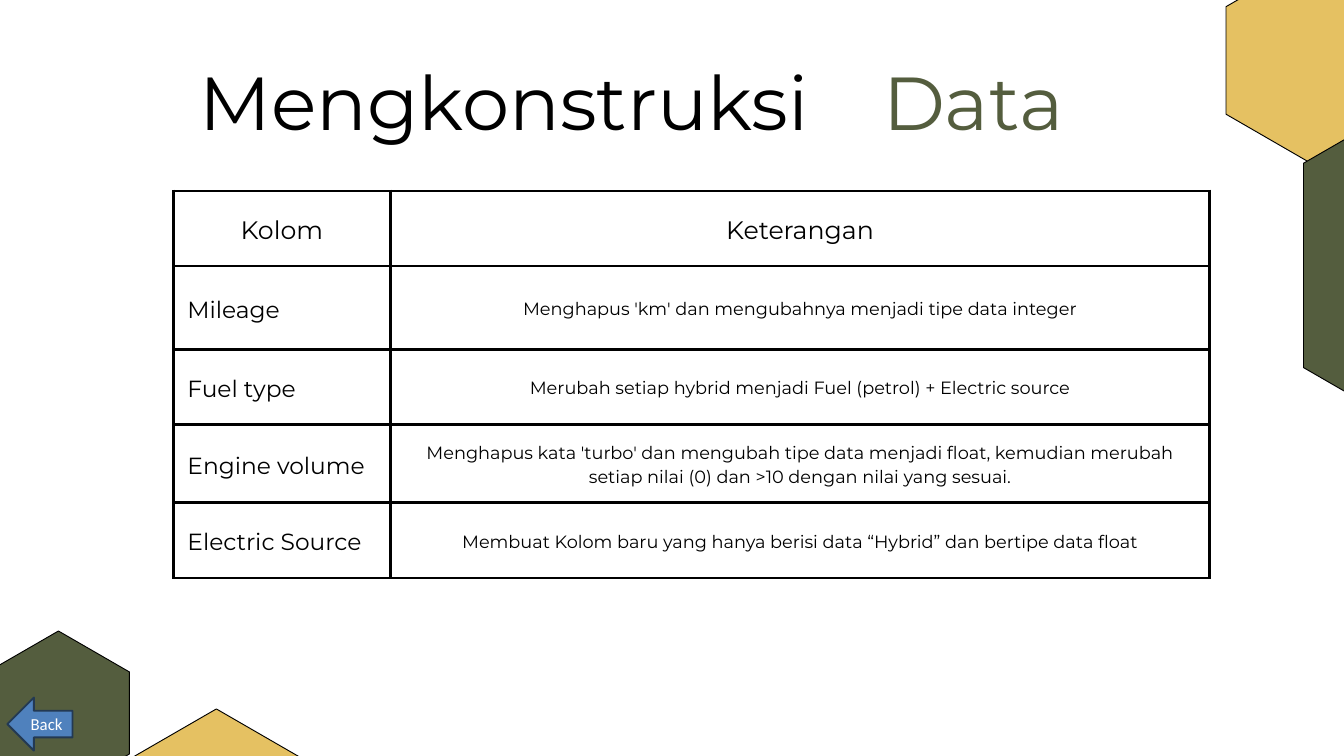
import math
from dataclasses import dataclass

import pptx
import pptx.dml.color
import pptx.enum.shapes
import pptx.enum.text
import pptx.oxml
import pptx.oxml.ns
import pptx.util

Inches, Pt = pptx.util.Inches, pptx.util.Pt
Align, Anchor = pptx.enum.text.PP_ALIGN, pptx.enum.text.MSO_ANCHOR
rgb = pptx.dml.color.RGBColor.from_string


@dataclass
class Theme:
    black: str = "000000"
    white: str = "FFFFFF"
    green: str = "545D3E"
    gold: str = "E5C162"
    blue: str = "4F81BD"
    navy: str = "233953"
    font: str = "Montserrat"
    title: float = 80.4
    head: float = 27
    name: float = 25
    note: float = 19
    back: float = 18


theme = Theme()


def write(par, text, size, color, font=theme.font, lead=None, align=None):
    """Add one run to a paragraph."""
    run = par.add_run()
    run.text = text
    run.font.size = Pt(size)
    run.font.name = font
    run.font.color.rgb = rgb(color)
    par.alignment = align
    if lead:
        par.line_spacing = Pt(lead)


def paint(shape, fill, line, width):
    """Give a shape a plain fill and outline."""
    shape.shadow.inherit = False
    shape.fill.solid()
    shape.fill.fore_color.rgb = rgb(fill)
    shape.line.color.rgb = rgb(line)
    shape.line.width = Pt(width)


deck = pptx.Presentation()
deck.slide_width, deck.slide_height = Inches(20), Inches(11.25)
slide = deck.slides.add_slide(deck.slide_layouts[6])
shapes = slide.shapes

# Corner hexagons: centre, radius, fill
hexes = [
    (0.87, 10.61, 1.22, theme.green),
    (3.22, 13.27, 2.72, theme.gold),
    (19.63, 0.9, 1.6, theme.gold),
    (22.03, 3.95, 3.04, theme.green),
]
for x, y, radius, fill in hexes:
    turns = [math.radians(60 * i - 90) for i in range(6)]
    points = [(Inches(x + radius * math.cos(t)), Inches(y + radius * math.sin(t)))
              for t in turns]
    path = shapes.build_freeform(*points[0])
    path.add_line_segments(points[1:], close=True)
    paint(path.convert_to_shape(), fill, theme.black, 1)

# Table
rows = [
    ("Kolom", "Keterangan"),
    ("Mileage", "Menghapus 'km' dan mengubahnya menjadi tipe data integer"),
    ("Fuel type", "Merubah setiap hybrid menjadi Fuel (petrol) + Electric source"),
    ("Engine volume", "Menghapus kata 'turbo' dan mengubah tipe data menjadi float, "
     "kemudian merubah setiap nilai (0) dan >10 dengan nilai yang sesuai."),
    ("Electric Source", "Membuat Kolom baru yang hanya berisi data “Hybrid” dan bertipe data float"),
]
wides = [3.23, 12.19]
highs = [1.12, 1.24, 1.12, 1.12, 1.12]
table = shapes.add_table(len(rows), len(wides), Inches(2.58), Inches(2.84),
                         Inches(sum(wides)), Inches(sum(highs))).table
table.first_row = table.horz_banding = False
for col, wide in zip(table.columns, wides):
    col.width = Inches(wide)
for row, high in zip(table.rows, highs):
    row.height = Inches(high)

for r, texts in enumerate(rows):
    for c, text in enumerate(texts):
        cell = table.cell(r, c)
        cell.fill.background()
        cell.vertical_anchor = Anchor.MIDDLE
        cell.margin_left = cell.margin_right = Inches(0.21)
        cell.margin_top = cell.margin_bottom = Inches(0.21)
        size = theme.head if r == 0 else (theme.name, theme.note)[c]
        align = Align.JUSTIFY if r and c == 0 else Align.CENTER
        write(cell.text_frame.paragraphs[0], text, size, theme.black,
              lead=size * 1.4, align=align)
        # Cell borders come before the fill
        props = cell._tc.get_or_add_tcPr()
        for i, side in enumerate(("lnL", "lnR", "lnT", "lnB")):
            props.insert(i, pptx.oxml.parse_xml(
                f'<a:{side} {pptx.oxml.ns.nsdecls("a")} w="{Pt(3)}"><a:solidFill>'
                f'<a:srgbClr val="{theme.black}"/></a:solidFill></a:{side}>'))

# Back arrow
arrow = shapes.add_shape(pptx.enum.shapes.MSO_SHAPE.LEFT_ARROW, Inches(0.11),
                         Inches(10.38), Inches(0.97), Inches(0.79))
paint(arrow, theme.blue, theme.navy, 2)
arrow.text_frame.vertical_anchor = Anchor.MIDDLE
write(arrow.text_frame.paragraphs[0], "Back", theme.back, theme.white,
      font="Calibri", align=Align.CENTER)

# Title in two colours
titles = [
    ("Data", 13.14, 0.93, 3.45, 1.25, 88.7, theme.green),
    ("Mengkonstruksi", 2.97, 0.88, 12.55, 1.31, 92.4, theme.black),
]
for text, x, y, wide, high, lead, color in titles:
    frame = shapes.add_textbox(Inches(x), Inches(y), Inches(wide), Inches(high)).text_frame
    frame.word_wrap = True
    frame.auto_size = pptx.enum.text.MSO_AUTO_SIZE.SHAPE_TO_FIT_TEXT
    frame.margin_left = frame.margin_right = 0
    frame.margin_top = frame.margin_bottom = 0
    write(frame.paragraphs[0], text, theme.title, color, lead=lead)

deck.save("out.pptx")
